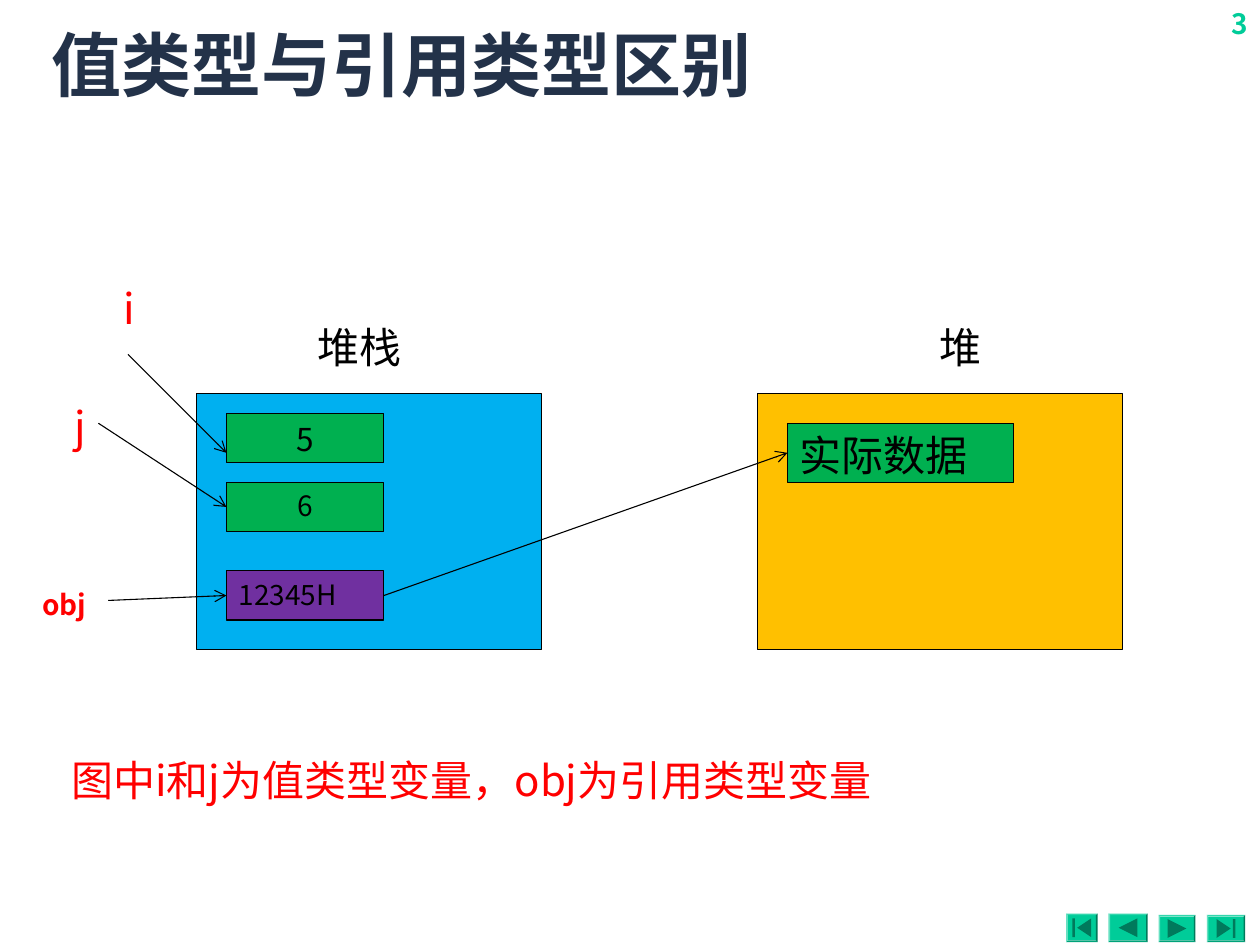
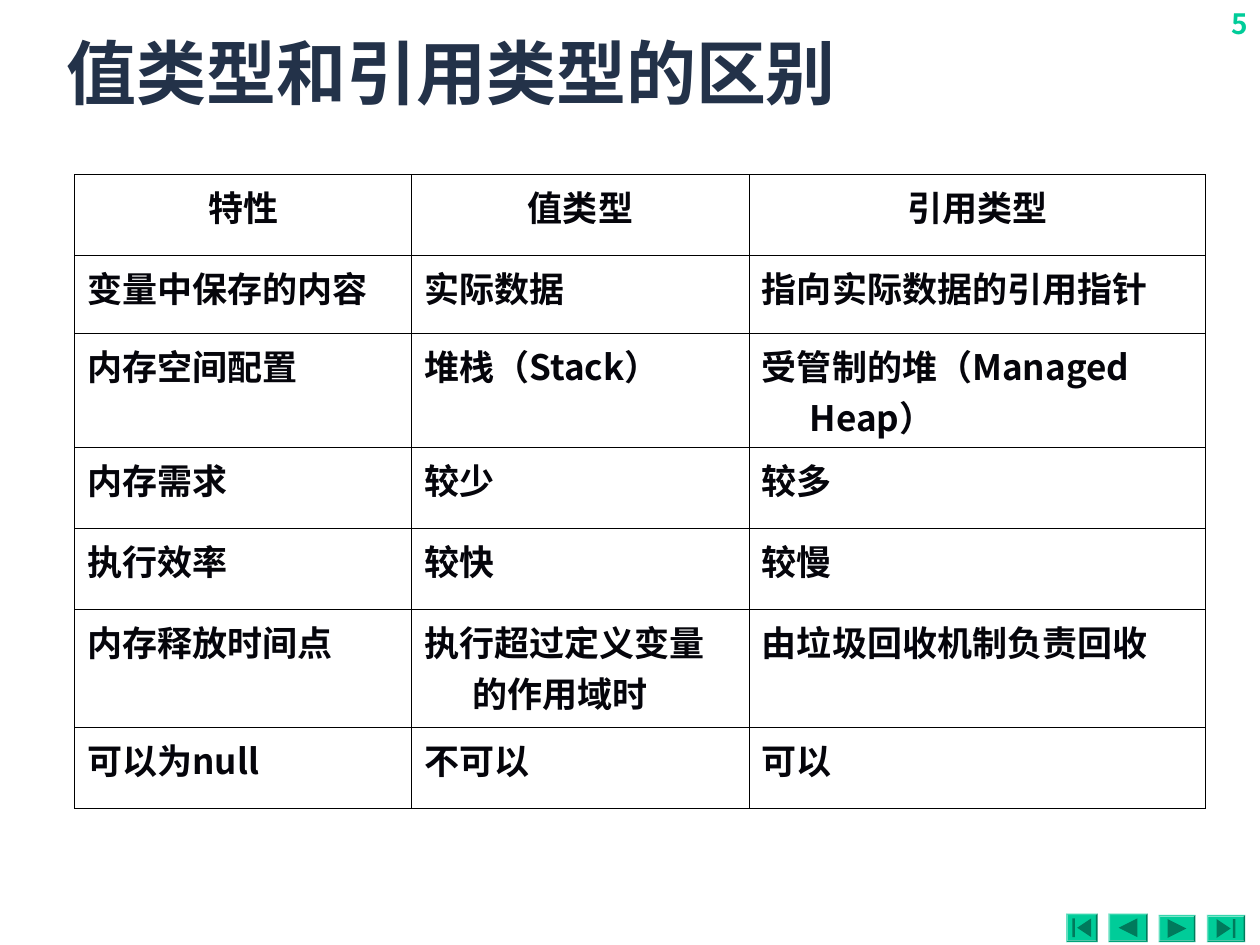
from lxml import etree
from pptx import Presentation
from pptx import util as u
from pptx.dml.color import RGBColor
from pptx.enum import shapes, text
from pptx.oxml import ns

COLUMNS = 128  # the square grid divides the slide into 128 x 96
WIDTH, HEIGHT = u.Inches(10), u.Inches(7.5)
LATIN, CHINESE = "Noto Sans CJK KR", "Noto Sans CJK SC"
BLACK, RED, NAVY, INK = "000000", "FF0000", "233249", "05050B"
MINT, DARK_MINT = "00CC99", "007A5C"
BLUE, AMBER, GREEN, PURPLE = "00B0F0", "FFC000", "00B050", "7030A0"
LEFT, CENTER, RIGHT = text.PP_ALIGN.LEFT, text.PP_ALIGN.CENTER, text.PP_ALIGN.RIGHT
TOP, MIDDLE, BOTTOM = text.MSO_ANCHOR.TOP, text.MSO_ANCHOR.MIDDLE, text.MSO_ANCHOR.BOTTOM

# left, top, width, height, direction, has a bar
NAVIGATION = [
    (108.3, 92.8, 3.2, 2.9, -1, True),
    (112.6, 92.8, 4, 2.9, -1, False),
    (117.7, 92.95, 3.75, 2.75, 1, False),
    (122.6, 92.95, 3.9, 2.75, 1, True),
]

COMPARISON = [
    ("特性", "值类型", "引用类型"),
    ("变量中保存的内容", "实际数据", "指向实际数据的引用指针"),
    ("内存空间配置", "堆栈（Stack）", "受管制的堆（Managed Heap）"),
    ("内存需求", "较少", "较多"),
    ("执行效率", "较快", "较慢"),
    ("内存释放时间点", "执行超过定义变量的作用域时", "由垃圾回收机制负责回收"),
    ("可以为null", "不可以", "可以"),
]
COLUMN_WIDTHS = [34.25, 34.3, 46.35]
ROW_HEIGHTS = [8.2, 7.95, 11.6, 8.2, 8.2, 12, 8.2]


def grid(*cells):
    return [round(WIDTH * cell / COLUMNS) for cell in cells]


def color(code):
    return RGBColor.from_string(code)


def set_all(target, values):
    for name, value in values.items():
        setattr(target, name, value)


def write(frame, words, size, code=BLACK, align=LEFT, bold=False,
          font=CHINESE, anchor=TOP):
    set_all(frame, {"word_wrap": True, "vertical_anchor": anchor})
    para = frame.paragraphs[0]
    para.alignment = align
    span = para.add_run()
    span.text = words
    set_all(span.font, {"size": u.Pt(size), "bold": bold, "name": font})
    span.font.color.rgb = color(code)
    east_asian = etree.SubElement(span.font._element, ns.qn("a:ea"))
    east_asian.set("typeface", font)
    return para


def add_label(page, at, words, size, **style):
    write(page.shapes.add_textbox(*grid(*at)).text_frame, words, size, **style)


def paint(shape, fill, line=None):
    shape.shadow.inherit = False
    shape.fill.solid()
    shape.fill.fore_color.rgb = color(fill)
    if line:
        shape.line.color.rgb = color(line)
        shape.line.width = u.Pt(0.62)
    else:
        shape.line.fill.background()


def add_block(page, at, fill, words="", size=16, **style):
    block = page.shapes.add_shape(shapes.MSO_SHAPE.RECTANGLE, *grid(*at))
    paint(block, fill, BLACK)
    if words:
        write(block.text_frame, words, size, **style)


def add_arrow(page, start, end):
    arrow = page.shapes.add_connector(
        shapes.MSO_CONNECTOR.STRAIGHT, *grid(*start, *end))
    arrow.line.color.rgb = color(BLACK)
    arrow.line.width = u.Pt(0.62)
    line = arrow.line._get_or_add_ln()
    etree.SubElement(line, ns.qn("a:tailEnd")).set("type", "arrow")
    etree.SubElement(arrow._element.spPr, ns.qn("a:effectLst"))


def add_button(page, left, top, width, height, direction, has_bar):
    button = page.shapes.add_shape(
        shapes.MSO_SHAPE.BEVEL, *grid(left, top, width, height))
    button.adjustments[0] = 0.06
    paint(button, MINT)
    x, y, half = left + width / 2, top + height / 2, 0.95
    tip, base = x + direction * (half / 2 if has_bar else half), x - direction * half
    outlines = [[(tip, y), (base, y - half), (base, y + half)]]
    if has_bar:
        inner, outer = x + direction * 0.7, x + direction * half
        outlines.append([(inner, y - half), (outer, y - half),
                         (outer, y + half), (inner, y + half)])
    icon = None
    for outline in outlines:
        first, *rest = [grid(*point) for point in outline]
        if icon is None:
            icon = page.shapes.build_freeform(*first)
        else:
            icon.move_to(*first)
        icon.add_line_segments(rest, close=True)
    paint(icon.convert_to_shape(), DARK_MINT)


def add_page(deck, number, title, at, anchor):
    """Add a slide with its number, navigation buttons and title."""
    page = deck.slides.add_slide(deck.slide_layouts[5])
    add_label(page, (119.7, 0, 8.3, 5.1), number, 16, code=MINT, align=RIGHT,
              bold=True, font=LATIN)
    for button in NAVIGATION:
        add_button(page, *button)
    heading = page.shapes.title
    set_all(heading, dict(zip(("left", "top", "width", "height"), grid(*at))))
    heading.text_frame.auto_size = text.MSO_AUTO_SIZE.NONE
    write(heading.text_frame, title, 40, code=NAVY, bold=True, anchor=anchor)
    return page


def border(cell):
    properties = cell._tc.get_or_add_tcPr()
    for index, side in enumerate(("lnL", "lnR", "lnT", "lnB")):
        line = etree.Element(ns.qn(f"a:{side}"), w=str(u.Pt(0.45)))
        fill = etree.SubElement(line, ns.qn("a:solidFill"))
        etree.SubElement(fill, ns.qn("a:srgbClr")).set("val", BLACK)
        properties.insert(index, line)


def add_comparison(page, left, top):
    at = grid(left, top, sum(COLUMN_WIDTHS), sum(ROW_HEIGHTS))
    table = page.shapes.add_table(len(COMPARISON), len(COLUMN_WIDTHS), *at).table
    set_all(table, {"first_row": False, "horz_banding": False})
    for column, width in zip(table.columns, grid(*COLUMN_WIDTHS)):
        column.width = width
    for row, height in zip(table.rows, grid(*ROW_HEIGHTS)):
        row.height = height
    hanging = u.Inches(0.38)
    for row, entries in enumerate(COMPARISON):
        for column, words in enumerate(entries):
            cell = table.cell(row, column)
            cell.fill.background()
            border(cell)
            para = write(cell.text_frame, words, 20, code=INK, bold=True,
                         align=LEFT if row else CENTER)
            indents = para._p.get_or_add_pPr()
            indents.set("marL", str(hanging))
            indents.set("indent", str(-hanging))


def draw_memory(page):
    add_block(page, (20, 40, 35, 26), BLUE)
    add_block(page, (77, 40, 37, 26), AMBER)
    add_label(page, (27, 32, 15, 6.4), "堆栈", 24, align=RIGHT)
    add_label(page, (89, 32, 12, 6.4), "堆", 24, align=RIGHT)

    add_block(page, (23, 42, 16, 5), GREEN, "5", 18, align=CENTER, font=LATIN)
    add_block(page, (23, 49, 16, 5), GREEN, "6", align=CENTER, font=LATIN)
    add_block(page, (23, 58, 16, 5), PURPLE, "12345H", font=LATIN)
    add_block(page, (80, 43, 23, 6), GREEN, "实际数据", 24)

    for start, end in [((13, 36), (23, 46)), ((10, 43), (23, 51.5)),
                       ((39, 60.5), (80, 46)), ((11, 61), (23, 60.5))]:
        add_arrow(page, start, end)

    add_label(page, (8, 28.1, 7, 6.4), "i", 24, code=RED, align=RIGHT)
    add_label(page, (3, 40.1, 7, 6.4), "j", 24, code=RED, align=RIGHT)
    add_label(page, (3, 59.1, 7, 4.75), "obj", 16, code=RED, align=RIGHT,
              bold=True, font=LATIN)
    add_label(page, (6, 76, 114, 6.4), "图中i和j为值类型变量，obj为引用类型变量",
              24, code=RED)


def main():
    deck = Presentation()
    set_all(deck, {"slide_width": WIDTH, "slide_height": HEIGHT})
    draw_memory(add_page(deck, "3", "值类型与引用类型区别", (4, 0, 120, 13), MIDDLE))
    page = add_page(deck, "5", "值类型和引用类型的区别",
                    (5.5, 1.6, 116.25, 10.6), BOTTOM)
    add_comparison(page, 7.58, 17.75)
    deck.save("out.pptx")


if __name__ == "__main__":
    main()
